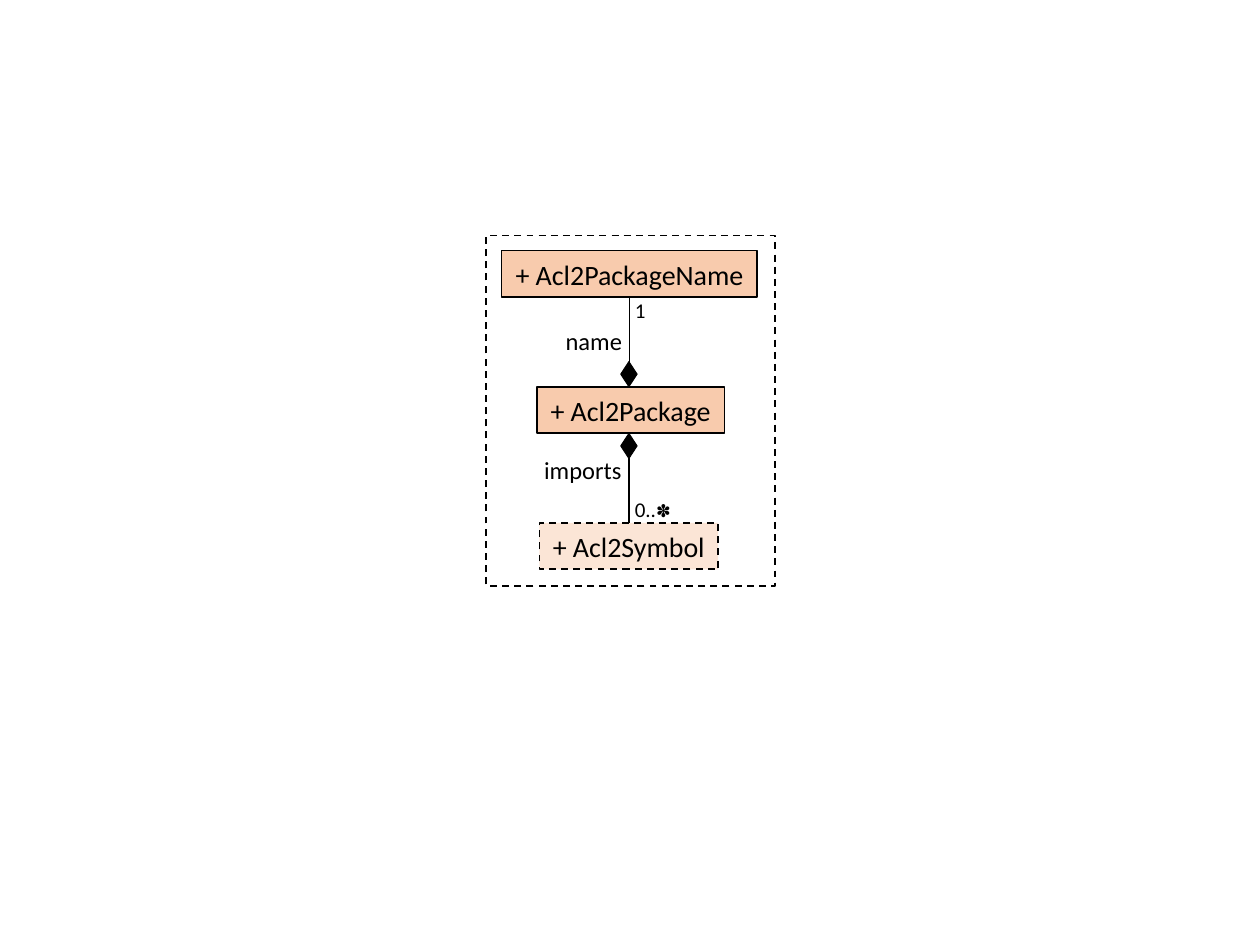
"""Build a class diagram of Acl2Package, its name and its imported symbols."""
import pptx
import pptx.dml.color
import pptx.enum.dml
import pptx.enum.shapes
import pptx.enum.text
import pptx.oxml
import pptx.util

Pt = pptx.util.Pt
SHAPES = pptx.enum.shapes.MSO_SHAPE
THEME = {
    "font": "Calibri",
    "ink": pptx.dml.color.RGBColor.from_string("000000"),
    "strong": pptx.dml.color.RGBColor.from_string("F8CBAD"),
    "pale": pptx.dml.color.RGBColor.from_string("FBE5D6"),
    "class_size": Pt(16),
    "role_size": Pt(14),
    "count_size": Pt(12),
    "star_size": Pt(10),
}
AXIS = 359.4
BOX_TOP, BOX_PITCH, BOX_HEIGHT = 143.2, 77.8, 26.6
DIAMOND_LENGTH, DIAMOND_WIDTH = 14.4, 9.4


def add_outlined(kind, left, top, width, height, fill=None, weight=1, dashed=False):
    shape = slide.shapes.add_shape(kind, Pt(left), Pt(top), Pt(width), Pt(height))
    shape.shadow.inherit = False
    if fill is None:
        shape.fill.background()
    else:
        shape.fill.solid()
        shape.fill.fore_color.rgb = fill
    shape.line.color.rgb = THEME["ink"]
    shape.line.width = Pt(weight)
    if dashed:
        shape.line.dash_style = pptx.enum.dml.MSO_LINE.DASH
    return shape


def write_text(shape, text, size, alignment):
    frame = shape.text_frame
    frame.word_wrap = False
    frame.auto_size = pptx.enum.text.MSO_AUTO_SIZE.SHAPE_TO_FIT_TEXT
    paragraph = frame.paragraphs[0]
    paragraph.alignment = alignment
    paragraph.font.name = THEME["font"]
    paragraph.font.size = size
    paragraph.font.color.rgb = THEME["ink"]
    paragraph.add_run().text = text
    return paragraph


presentation = pptx.Presentation()
presentation.slide_width, presentation.slide_height = Pt(720), Pt(540)
slide = presentation.slides.add_slide(presentation.slide_layouts[6])

add_outlined(SHAPES.RECTANGLE, 277.9, 134.6, 164.9, 200.2, dashed=True)

classes = [
    ("+ Acl2PackageName", 286.6, 146.2, "strong", False),
    ("+ Acl2Package", 306.7, 107.3, "strong", False),
    ("+ Acl2Symbol", 308.2, 102.2, "pale", True),
]
boxes = []
for row, (name, left, width, fill, dashed) in enumerate(classes):
    box = add_outlined(SHAPES.RECTANGLE, left, BOX_TOP + row * BOX_PITCH, width,
                       BOX_HEIGHT, THEME[fill], dashed=dashed)
    write_text(box, name, THEME["class_size"], pptx.enum.text.PP_ALIGN.CENTER)
    boxes.append(box)

package_top = BOX_TOP + BOX_PITCH
package_bottom = package_top + BOX_HEIGHT
associations = [
    (boxes[0], 2, package_top - DIAMOND_LENGTH, package_top - DIAMOND_LENGTH / 2),
    (boxes[2], 0, package_bottom + DIAMOND_LENGTH, package_bottom + DIAMOND_LENGTH / 2),
]
for box, side, line_end, diamond_middle in associations:
    connector = slide.shapes.add_connector(
        pptx.enum.shapes.MSO_CONNECTOR.STRAIGHT, Pt(AXIS), Pt(line_end), Pt(AXIS), Pt(line_end))
    connector.begin_connect(box, side)
    connector.end_x, connector.end_y = connector.begin_x, Pt(line_end)
    connector.line.color.rgb = THEME["ink"]
    connector.line.width = Pt(1)
    connector.element.spPr.append(pptx.oxml.parse_xml(
        '<a:effectLst xmlns:a="http://schemas.openxmlformats.org/drawingml/2006/main"/>'))
    diamond = add_outlined(SHAPES.DIAMOND, AXIS - DIAMOND_LENGTH / 2,
                           diamond_middle - DIAMOND_WIDTH / 2,
                           DIAMOND_LENGTH, DIAMOND_WIDTH, THEME["ink"], 0.5)
    diamond.rotation = 270

labels = [
    ("name", 316.1, 182.9, 46.8, 24.2, "role_size", ""),
    ("imports", 303.8, 256.3, 59, 24.2, "role_size", ""),
    ("1", 355.7, 166.3, 20.9, 21.8, "count_size", ""),
    ("0..", 355.7, 280.1, 36, 21.8, "count_size", "✽"),
]
for text, left, top, width, height, size, star in labels:
    label = slide.shapes.add_textbox(Pt(left), Pt(top), Pt(width), Pt(height))
    paragraph = write_text(label, text, THEME[size], pptx.enum.text.PP_ALIGN.LEFT)
    if star:
        run = paragraph.add_run()
        run.text = star
        run.font.size = THEME["star_size"]

presentation.save("out.pptx")
